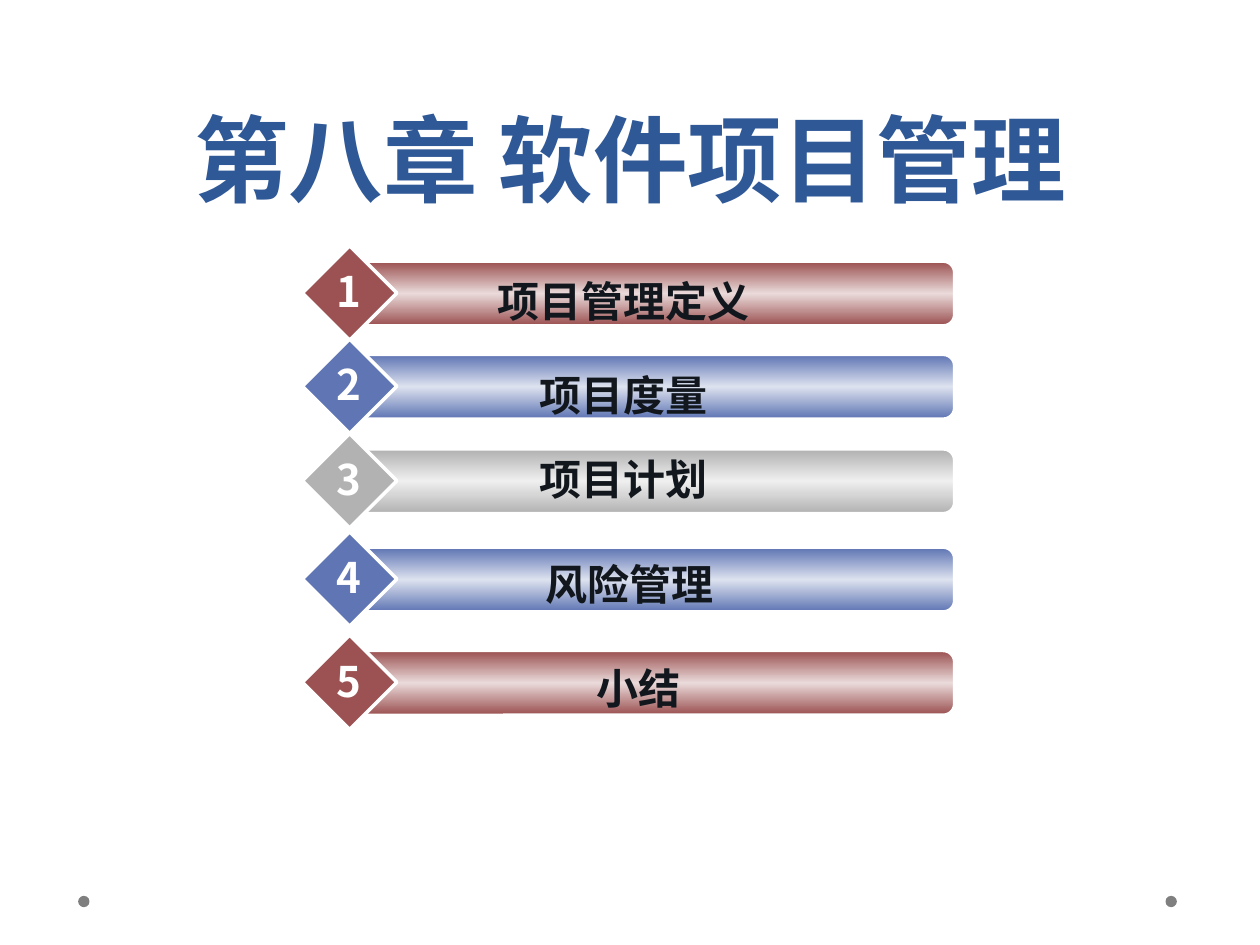
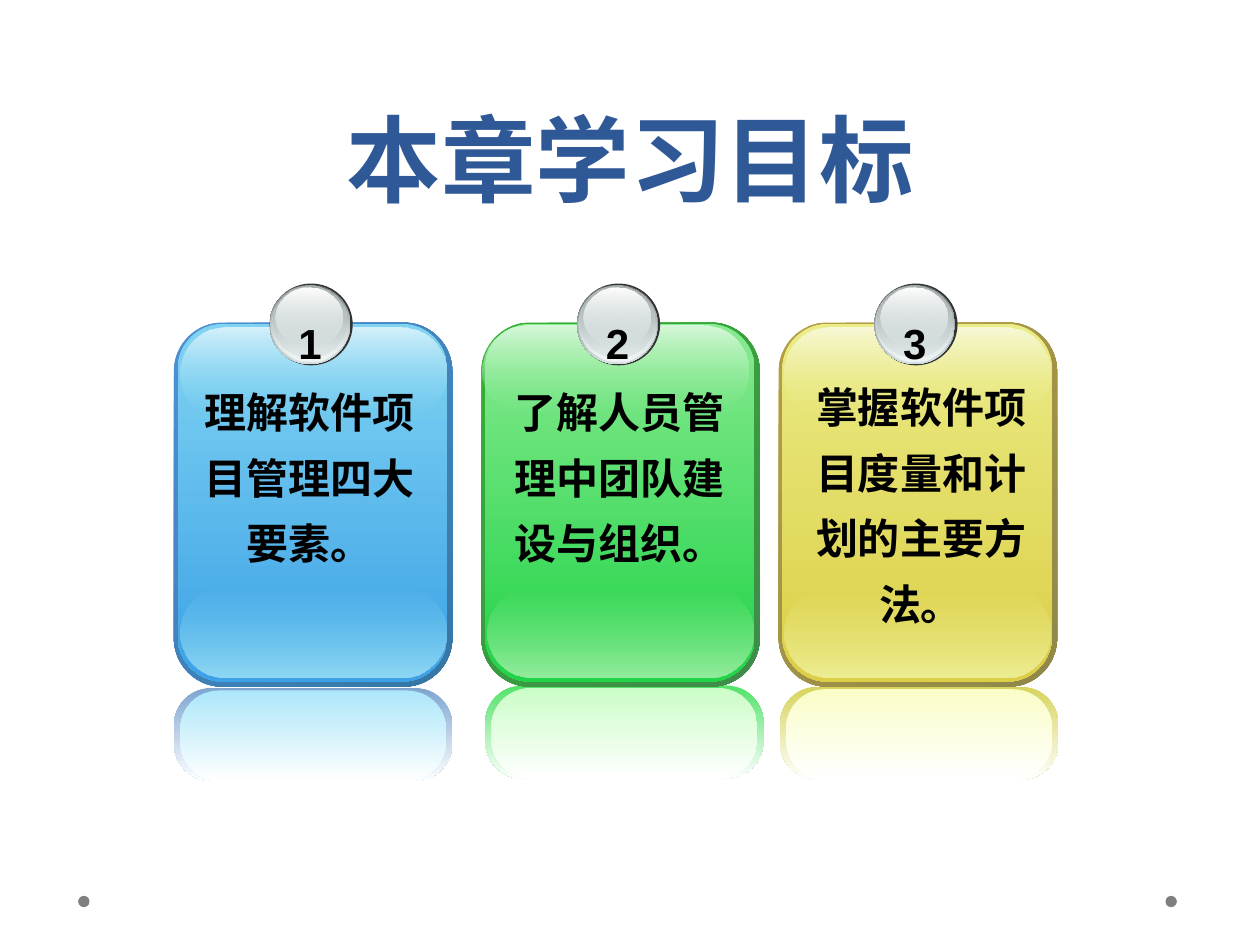
"""Build the chapter agenda and the learning goals of a software project management course."""
from lxml import etree
from pptx import Presentation
from pptx.dml.color import RGBColor
from pptx.enum.shapes import MSO_SHAPE
from pptx.enum.text import MSO_ANCHOR, MSO_AUTO_SIZE, PP_ALIGN
from pptx.oxml.ns import qn
from pptx.util import Inches, Pt

ROUNDED = MSO_SHAPE.ROUNDED_RECTANGLE
DIAMOND = MSO_SHAPE.DIAMOND
OVAL = MSO_SHAPE.OVAL
CENTER = PP_ALIGN.CENTER
BOTTOM = MSO_ANCHOR.BOTTOM
FIT_SHAPE = MSO_AUTO_SIZE.SHAPE_TO_FIT_TEXT
NO_FIT = MSO_AUTO_SIZE.NONE

TITLE_COLOR, DOT_COLOR = "2F5897", "7F7F7F"
WHITE, BLACK, LABEL_COLOR = "FFFFFF", "000000", "11171D"
CJK_FONT = "Noto Sans CJK SC"
DOTS = [(9.25, 7.11, 0.09, 0.09), (0.62, 7.11, 0.09, 0.09)]

AGENDA_TITLE = "第八章 软件项目管理"
RED, BLUE, GRAY = ("9C5252", "EADADA"), ("6076B4", "DDE2EF"), ("B2B2B2", "EFEFEF")
AGENDA = [
    {"label": "项目管理定义", "colors": RED, "top": 2.08, "label_box": (3.07, 2.14, 3.75, 0.5)},
    {"label": "项目度量", "colors": BLUE, "top": 2.82, "label_box": (3.07, 2.88, 3.75, 0.5)},
    {"label": "项目计划", "colors": GRAY, "top": 3.57, "label_box": (3.3, 3.55, 3.29, 0.5)},
    {"label": "风险管理", "colors": BLUE, "top": 4.35, "label_box": (3.12, 4.38, 3.75, 0.5)},
    {"label": "小结", "colors": RED, "top": 5.17, "label_box": (2.82, 5.21, 4.49, 0.5)},
]

GOALS_TITLE = "本章学习目标"
GOALS = [
    {"text": "理解软件项目管理四大要素。", "font": CJK_FONT, "text_box": (1.41, 2.9, 2.1, 1.66),
     "left": 1.38, "gloss": (1.43, 2.6), "mirror": (1.38, 5.46),
     "rim": ("4E91D4", "3477A4"), "face": ("80D4F2", "3CA1E6"),
     "glow": "8FD9F4", "shine": "D5F1FB", "mirror_rim": "7EA5D0", "mirror_face": "ACE7FA"},
    {"text": "了解人员管理中团队建设与组织。", "font": CJK_FONT, "text_box": (3.91, 2.9, 2.02, 1.66),
     "left": 3.82, "gloss": (3.83, 2.58), "mirror": (3.85, 5.44),
     "rim": ("34B034", "3F8B4A"), "face": ("88EA91", "21D347"),
     "glow": "96ED9E", "shine": "D7F8DA", "mirror_rim": "52E26A", "mirror_face": "CBFDC7"},
    {"text": "掌握软件项目度量和计划的主要方法。", "font": "Times New Roman",
     "text_box": (6.26, 2.86, 2.1, 2.18),
     "left": 6.18, "gloss": (6.23, 2.6), "mirror": (6.19, 5.45),
     "rim": ("B59F43", "8F8849"), "face": ("EAEC86", "DCCE46"),
     "glow": "EDEE95", "shine": "F8F9D7", "mirror_rim": "D7D45D", "mirror_face": "FAFDC7"},
]
BALL_LAYERS = [
    ((0.76, 2.25, 0.66, 0.65), "333333"),
    ((0.76, 2.26, 0.64, 0.63), ["636869", "D6E1E2"]),
    ((0.77, 2.26, 0.62, 0.61), [("D6E1E2", 0), "F1F5F5"]),
    ((0.78, 2.27, 0.59, 0.57), ["AAB2B3", ("D6E1E2", 48)]),
    ((0.81, 2.28, 0.53, 0.47), [WHITE, ("D6E1E2", 38)]),
]


def rgb(color):
    return RGBColor.from_string(color)


def fill_gradient(shape, stops, angle):
    """Spread the stops evenly; a stop is a colour or a (colour, opacity percent) pair."""
    shape.fill.gradient()
    shape.fill.gradient_angle = 360 - angle
    stop_list = shape.element.spPr.find(qn("a:gradFill")).find(qn("a:gsLst"))
    for old_stop in list(stop_list):
        stop_list.remove(old_stop)
    for index, stop in enumerate(stops):
        color, opacity = (stop, 100) if isinstance(stop, str) else stop
        position = index * 100000 // (len(stops) - 1)
        element = etree.SubElement(stop_list, qn("a:gs"), pos=str(position))
        color_element = etree.SubElement(element, qn("a:srgbClr"), val=color)
        if opacity < 100:
            etree.SubElement(color_element, qn("a:alpha"), val=str(opacity * 1000))


def add_shape(shapes, kind, box, fill, angle=90, corner=None, outline=None):
    """Add a preset shape with a solid or gradient fill and an optional white outline."""
    shape = shapes.add_shape(kind, *map(Inches, box))
    shape.shadow.inherit = False
    if corner is not None:
        shape.adjustments[0] = corner
    if isinstance(fill, str):
        shape.fill.solid()
        shape.fill.fore_color.rgb = rgb(fill)
    else:
        fill_gradient(shape, fill, angle)
    if outline:
        shape.line.color.rgb = rgb(WHITE)
        shape.line.width = Pt(outline)
    else:
        shape.line.fill.background()
    return shape


def format_paragraph(paragraph, font, size, color, spacing):
    paragraph.alignment = CENTER
    paragraph.line_spacing = spacing
    paragraph.font.name = font
    paragraph.font.size = Pt(size)
    paragraph.font.bold = True
    paragraph.font.color.rgb = rgb(color)


def add_text(shapes, box, text, font, color, spacing=1.0, wrap=True):
    frame = shapes.add_textbox(*map(Inches, box)).text_frame
    frame.word_wrap = wrap
    frame.auto_size = FIT_SHAPE
    frame.text = text
    format_paragraph(frame.paragraphs[0], font, 24, color, spacing)


def add_titled_slide(presentation, layout, text):
    slide = presentation.slides.add_slide(layout)
    title = slide.shapes.title
    title.left, title.top, title.width, title.height = map(Inches, (0.5, 0, 9, 1.75))
    title.text_frame.vertical_anchor = BOTTOM
    title.text_frame.auto_size = NO_FIT
    title.text_frame.text = text
    format_paragraph(title.text_frame.paragraphs[0], "Cabin", 54, TITLE_COLOR, Pt(58))
    return slide


def move_dots_to_layout(slide, layout):
    """Replace the footer placeholders of the layout by its two dots."""
    for placeholder in list(layout.placeholders)[1:]:
        layout.shapes.element.remove(placeholder.element)
    for box in DOTS:
        dot = add_shape(slide.shapes, OVAL, box, DOT_COLOR)
        layout.shapes.element.append(dot.element)


def add_agenda_item(shapes, number, item):
    edge, middle = item["colors"]
    top = item["top"]
    add_shape(shapes, ROUNDED, (2.82, top, 4.75, 0.5), [edge, middle, edge],
              corner=0.167, outline=1)
    add_shape(shapes, DIAMOND, (2.4, top - 0.13, 0.75, 0.75), edge, outline=2)
    add_text(shapes, item["label_box"], item["label"], CJK_FONT, LABEL_COLOR)
    add_text(shapes, (2.57, top - 0.02, 0.39, 0.5), str(number), CJK_FONT, WHITE, wrap=False)


def add_goal_card(shapes, number, goal):
    left = goal["left"]
    face = goal["face"]
    mirror_left, mirror_top = goal["mirror"]
    panels = [
        ((mirror_left, mirror_top, 2.21, 0.74), [goal["mirror_rim"], WHITE], 90, 0.404),
        ((mirror_left + 0.05, mirror_top + 0.02, 2.11, 0.72), [goal["mirror_face"], WHITE], 90, 0.429),
        ((left, 2.56, 2.21, 2.89), goal["rim"], 45, 0.175),
        ((left + 0.03, 2.57, 2.14, 2.84), face, 90, 0.168),
        ((left + 0.05, 4.66, 2.11, 0.72), [(face[0], 0), goal["glow"]], 90, 0.5),
        ((*goal["gloss"], 2.11, 0.72), [goal["shine"], (face[0], 0)], 90, 0.5),
    ]
    for box, stops, angle, corner in panels:
        add_shape(shapes, ROUNDED, box, stops, angle, corner)
    for (offset, *rest), fill in BALL_LAYERS:
        add_shape(shapes, OVAL, (left + offset, *rest), fill)
    add_text(shapes, (left + 0.89, 2.35, 0.38, 0.62), str(number), "Arial", BLACK, 1.3, wrap=False)
    add_text(shapes, goal["text_box"], goal["text"], goal["font"], BLACK, 1.3)


def main():
    presentation = Presentation()
    presentation.slide_width, presentation.slide_height = Inches(10), Inches(7.5)
    layout = presentation.slide_layouts[5]
    pages = [(AGENDA_TITLE, AGENDA, add_agenda_item), (GOALS_TITLE, GOALS, add_goal_card)]
    for title, items, add_item in pages:
        slide = add_titled_slide(presentation, layout, title)
        for number, item in enumerate(items, 1):
            add_item(slide.shapes.add_group_shape().shapes, number, item)
    move_dots_to_layout(slide, layout)
    presentation.save("out.pptx")


if __name__ == "__main__":
    main()
